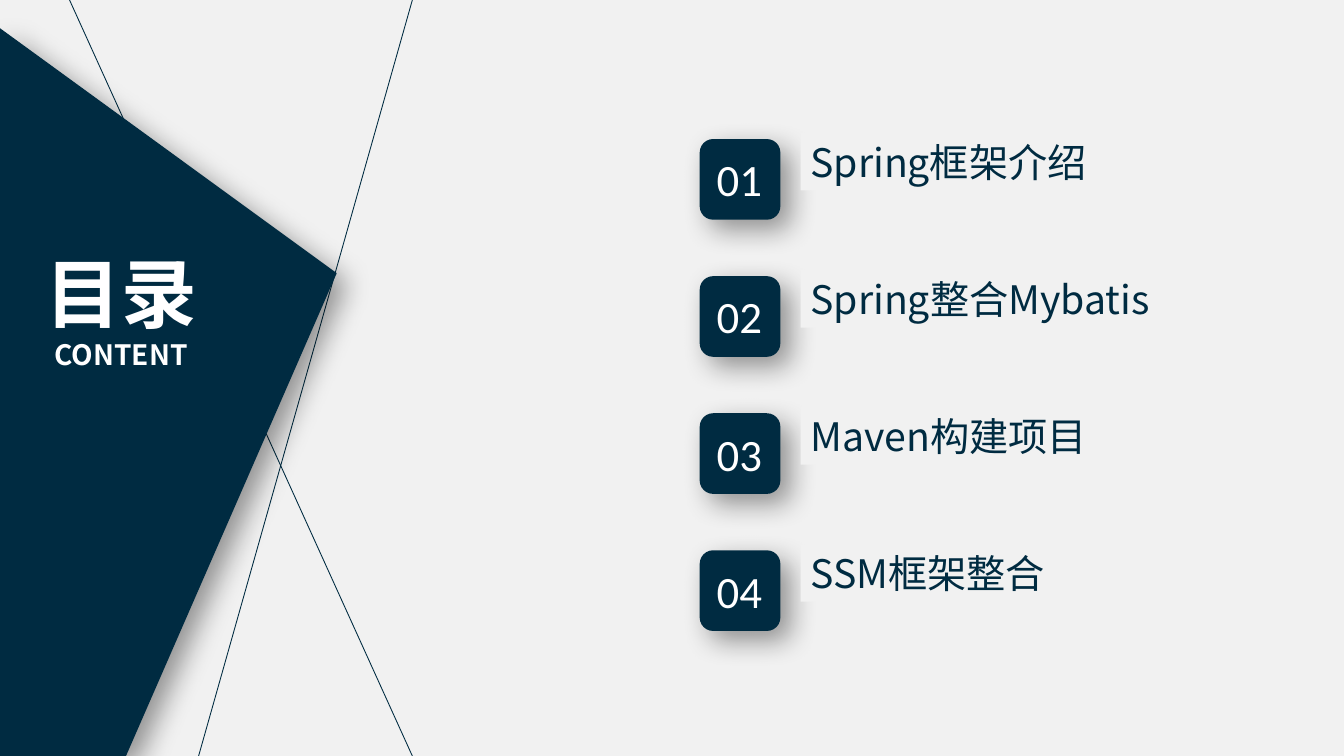
from lxml import etree
from pptx import Presentation
from pptx.dml.color import RGBColor
from pptx.enum.shapes import MSO_CONNECTOR, MSO_SHAPE
from pptx.enum.text import MSO_ANCHOR, MSO_AUTO_SIZE, PP_ALIGN
from pptx.oxml import parse_xml
from pptx.oxml.ns import nsdecls, qn
from pptx.util import Inches, Pt

NAVY = RGBColor(0x00, 0x2B, 0x41)
PALE = RGBColor(0xF1, 0xF1, 0xF1)
WHITE = RGBColor(0xFF, 0xFF, 0xFF)

STRAIGHT = MSO_CONNECTOR.STRAIGHT
RECT = MSO_SHAPE.RECTANGLE
ROUNDED = MSO_SHAPE.ROUNDED_RECTANGLE
TOP = MSO_ANCHOR.TOP
GROW = MSO_AUTO_SIZE.SHAPE_TO_FIT_TEXT
LEFT = PP_ALIGN.LEFT
CENTER = PP_ALIGN.CENTER

CJK = "Noto Sans CJK SC"
TITLE = {"name": CJK, "size": Pt(54), "bold": True}
SUBTITLE = {"name": CJK, "size": Pt(20), "bold": True}
NUMBER = {"name": "Calibri", "size": Pt(32)}
TOPIC = {"name": CJK, "size": Pt(28)}

LINES = [((4.09, 0), (1.97, 7.5)), ((4.09, 7.5), (0.69, 0))]
PANEL = [(1.25, 7.5), (0, 7.5), (0, 0.28), (3.34, 2.71)]
TOPICS = [
    ("Spring框架介绍", 3.9),
    ("Spring整合Mybatis", 4.51),
    ("Maven构建项目", 4.61),
    ("SSM框架整合", 3.17),
]
FIRST_TOP = 1.38
PITCH = 1.36


def add_line(s, start, end):
    line = s.shapes.add_connector(STRAIGHT, *map(Inches, start + end))
    line.line.color.rgb = NAVY
    line.line.width = Pt(0.63)
    etree.SubElement(line._element.spPr, qn("a:effectLst"))


def paint(sp, color):
    sp.shadow.inherit = False
    sp.fill.solid()
    sp.fill.fore_color.rgb = color
    sp.line.fill.background()


def add_shadow(sp):
    effects = sp._element.spPr.find(qn("a:effectLst"))
    effects.append(parse_xml(
        f'<a:outerShdw {nsdecls("a")} blurRad="{Pt(20)}" dist="{Pt(10)}" '
        f'dir="{45 * 60000}" algn="tl" rotWithShape="0">'
        '<a:srgbClr val="000000"><a:alpha val="40000"/></a:srgbClr></a:outerShdw>'))


def add_panel(s):
    points = [(Inches(x), Inches(y)) for x, y in PANEL]
    builder = s.shapes.build_freeform(*points[0])
    builder.add_line_segments(points[1:])
    sp = builder.convert_to_shape()
    paint(sp, NAVY)
    add_shadow(sp)


def write(sp, paragraphs, color, align=LEFT, wrap=True):
    tf = sp.text_frame
    tf.word_wrap = wrap
    tf.auto_size = GROW
    tf.vertical_anchor = TOP
    for i, (text, style) in enumerate(paragraphs):
        p = tf.add_paragraph() if i else tf.paragraphs[0]
        p.alignment = align
        r = p.add_run()
        r.text = text
        r.font.color.rgb = color
        for key, value in style.items():
            setattr(r.font, key, value)
        ea = etree.SubElement(r._r.get_or_add_rPr(), qn("a:ea"))
        ea.set("typeface", style["name"])


def add_topic(s, index, text, width):
    top = FIRST_TOP + index * PITCH
    badge = s.shapes.add_shape(
        ROUNDED, Inches(6.94), Inches(top), Inches(0.8), Inches(0.8))
    paint(badge, NAVY)
    add_shadow(badge)
    number = s.shapes.add_textbox(
        Inches(7.01), Inches(top + 0.08), Inches(0.66), Inches(0.64))
    write(number, [(f"{index + 1:02d}", NUMBER)], WHITE, wrap=False)
    label = s.shapes.add_shape(
        RECT, Inches(7.94), Inches(top - 0.06), Inches(width), Inches(0.57))
    paint(label, PALE)
    write(label, [(text, TOPIC)], NAVY)


def main():
    prs = Presentation()
    prs.slide_width = Inches(13.33)
    prs.slide_height = Inches(7.5)
    s = prs.slides.add_slide(prs.slide_layouts[6])
    s.background.fill.solid()
    s.background.fill.fore_color.rgb = PALE
    for start, end in LINES:
        add_line(s, start, end)
    add_panel(s)
    heading = s.shapes.add_textbox(
        Inches(0.24), Inches(2.4), Inches(1.92), Inches(1.35))
    write(heading, [("目录", TITLE), ("CONTENT", SUBTITLE)], WHITE, CENTER)
    for index, (text, width) in enumerate(TOPICS):
        add_topic(s, index, text, width)
    prs.save("out.pptx")


if __name__ == "__main__":
    main()
